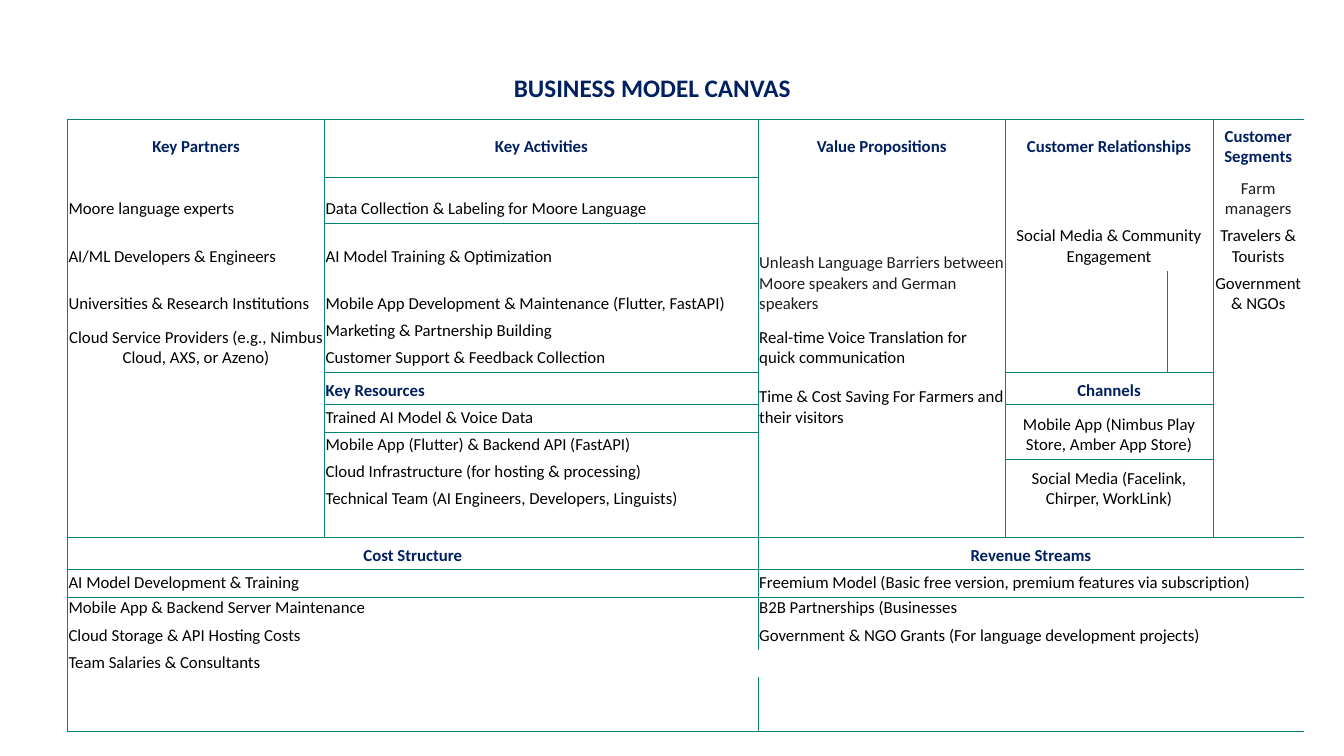
from lxml import etree
from pptx import Presentation
from pptx.dml.color import RGBColor
from pptx.enum import text
from pptx.oxml import ns
from pptx.util import Inches, Pt

NAVY = RGBColor(0x00, 0x20, 0x60)
BLACK = RGBColor(0x00, 0x00, 0x00)
CHARCOAL = RGBColor(0x1D, 0x1D, 0x1D)
TEAL = RGBColor(0x07, 0x82, 0x76)
NO_GRID_STYLE = "{2D5ABB26-0587-4C30-8999-92F81FD0307C}"

COLUMN_WIDTHS = [2.55, 4.3, 2.45, 1.07, 0.54, 0.45, 0.45, 0.45]
ROW_HEIGHTS = [0.58, 0.43, 0.47, 0.47, 0.27, 0.27, 0.32, 0.27, 0.27, 0.27,
               0.27, 0.24, 0.32, 0.27, 0.24, 0.27, 0.27, 0.27, 0.27]
LAST_ROW = len(ROW_HEIGHTS) - 1

headings = {
    (0, 0): "Key Partners",
    (0, 1): "Key Activities",
    (0, 2): "Value Propositions",
    (0, 3): "Customer Relationships",
    (0, 6): "Customer Segments",
    (6, 1): "Key Resources",
    (6, 3): "Channels",
    (12, 0): "Cost Structure",
    (12, 2): "Revenue Streams",
}
entries = {
    (1, 0): "Moore language experts",
    (2, 0): "AI/ML Developers & Engineers",
    (3, 0): "Universities & Research Institutions",
    (4, 0): "Cloud Service Providers (e.g., Nimbus Cloud, AXS, or Azeno)",
    (1, 1): "Data Collection & Labeling for Moore Language",
    (2, 1): "AI Model Training & Optimization",
    (3, 1): "Mobile App Development & Maintenance (Flutter, FastAPI)",
    (4, 1): "Marketing & Partnership Building",
    (5, 1): "Customer Support & Feedback Collection",
    (7, 1): "Trained AI Model & Voice Data",
    (8, 1): "Mobile App (Flutter) & Backend API (FastAPI)",
    (9, 1): "Cloud Infrastructure (for hosting & processing)",
    (10, 1): "Technical Team (AI Engineers, Developers, Linguists)",
    (1, 2): "Unleash Language Barriers between Moore speakers and German speakers",
    (4, 2): "Real-time Voice Translation for quick communication",
    (6, 2): "Time & Cost Saving For Farmers and their visitors",
    (1, 3): "Social Media & Community Engagement",
    (7, 3): "Mobile App (Nimbus Play Store, Amber App Store)",
    (9, 3): "Social Media (Facelink, Chirper, WorkLink)",
    (1, 6): "Farm managers",
    (2, 6): "Travelers & Tourists",
    (3, 6): "Government & NGOs",
    (13, 0): "AI Model Development & Training",
    (14, 0): "Mobile App & Backend Server Maintenance",
    (15, 0): "Cloud Storage & API Hosting Costs",
    (16, 0): "Team Salaries & Consultants",
    (13, 2): "Freemium Model (Basic free version, premium features via subscription)",
    (14, 2): "B2B Partnerships (Businesses",
    (15, 2): "Government & NGO Grants (For language development projects)",
}
charcoal_entries = {(1, 2), (1, 6)}

merges = [(4, 0, 5, 0), (1, 2, 3, 2), (4, 2, 5, 2), (6, 2, 7, 2), (8, 2, 9, 2),
          (0, 3, 0, 5), (1, 3, 2, 5), (6, 3, 6, 5), (7, 3, 8, 5), (9, 3, 10, 5), (11, 3, 11, 5)]
merges += [(row, 3, row, 4) for row in range(3, 6)]
merges += [(row, 6, row, 7) for row in range(12)]
merges += [(row, 0, row, 1) for row in range(12, 19)]
merges += [(row, 2, row, 7) for row in range(12, 19) if row != 16]

left_ruled_rows = {
    0: set(range(19)),
    1: set(range(12)),
    2: set(range(19)) - {16},
    3: set(range(12)),
    6: set(range(1, 12)) - {6},
}
top_ruled_columns = {
    0: set(range(8)),
    1: {1},
    6: {1, 3, 4, 5},
    7: {1, 3, 4, 5},
    12: set(range(8)),
    13: set(range(8)),
}


def add_border(cell, side):
    line = etree.SubElement(cell._tc.get_or_add_tcPr(), ns.qn(f"a:ln{side}"), w=str(Pt(0.5)))
    fill = etree.SubElement(line, ns.qn("a:solidFill"))
    etree.SubElement(fill, ns.qn("a:srgbClr"), val=str(TEAL))


def add_run(paragraph, words, size, color, bold):
    run = paragraph.add_run()
    run.text = words
    run.font.name = "Calibri"
    run.font.size = Pt(size)
    run.font.color.rgb = color
    run.font.bold = bold


prs = Presentation()
prs.slide_width = Inches(13.33)
prs.slide_height = Inches(7.5)
slide = prs.slides.add_slide(prs.slide_layouts[5])

title = slide.shapes.title
title.left, title.top = Inches(4.98), Inches(0.67)
title.width, title.height = Inches(2.98), Inches(0.4)
title.text_frame.word_wrap = False
title.text_frame.vertical_anchor = text.MSO_ANCHOR.TOP
title.text_frame.paragraphs[0].alignment = text.PP_ALIGN.CENTER
add_run(title.text_frame.paragraphs[0], "BUSINESS MODEL CANVAS", 18, NAVY, True)

canvas = slide.shapes.add_table(
    len(ROW_HEIGHTS), len(COLUMN_WIDTHS),
    Inches(0.67), Inches(1.18), Inches(12.27), Inches(6.04)).table
canvas.first_row = False
canvas.horz_banding = False
canvas._tbl.tblPr.find(ns.qn("a:tableStyleId")).text = NO_GRID_STYLE
for column, width in zip(canvas.columns, COLUMN_WIDTHS):
    column.width = Inches(width)
for row, height in zip(canvas.rows, ROW_HEIGHTS):
    row.height = Inches(height)
for top, left, bottom, right in merges:
    canvas.cell(top, left).merge(canvas.cell(bottom, right))

for row in range(len(ROW_HEIGHTS)):
    for column in range(len(COLUMN_WIDTHS)):
        place = (row, column)
        cell = canvas.cell(row, column)
        if row in left_ruled_rows.get(column, ()):
            add_border(cell, "L")
        if column in top_ruled_columns.get(row, ()):
            add_border(cell, "T")
        if row == LAST_ROW:
            add_border(cell, "B")
        cell.fill.background()
        cell.margin_left = cell.margin_top = cell.margin_right = Inches(0.01)
        cell.margin_bottom = Inches(0.04)
        cell.vertical_anchor = text.MSO_ANCHOR.MIDDLE if row == 0 else text.MSO_ANCHOR.BOTTOM

        paragraph = cell.text_frame.paragraphs[0]
        if place in headings:
            add_run(paragraph, headings[place], 12, NAVY, True)
        elif place in entries:
            color = CHARCOAL if place in charcoal_entries else BLACK
            add_run(paragraph, entries[place], 12, color, False)
        else:
            etree.SubElement(paragraph._p, ns.qn("a:endParaRPr"), sz="1000")
            continue
        centered = column in (3, 6) or row in (0, 12) or place == (4, 0)
        paragraph.alignment = text.PP_ALIGN.CENTER if centered else text.PP_ALIGN.LEFT

prs.save("out.pptx")
